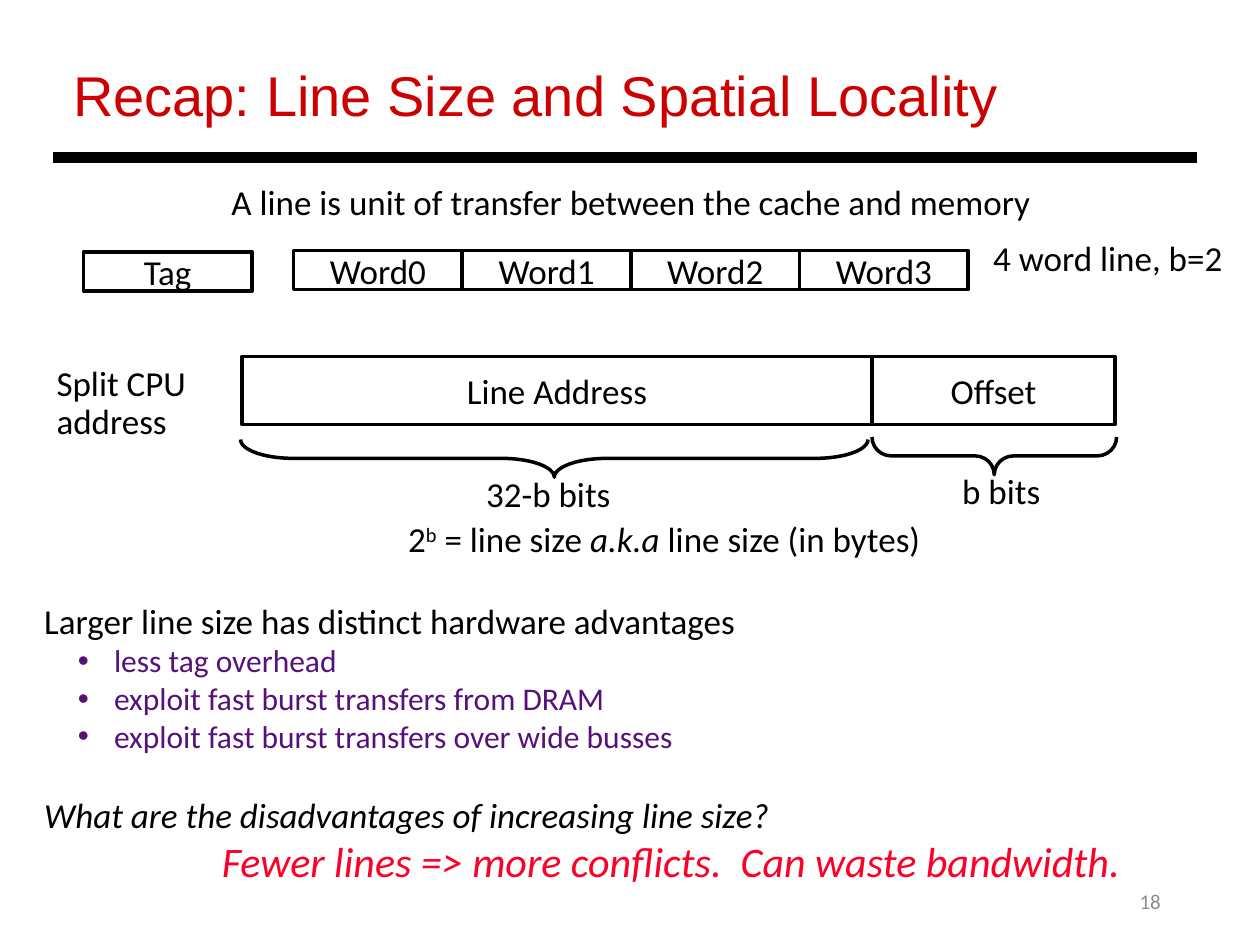
from dataclasses import dataclass

from pptx import Presentation
from pptx.dml.color import RGBColor
from pptx.enum.shapes import MSO_CONNECTOR, MSO_SHAPE
from pptx.enum.text import MSO_ANCHOR, PP_ALIGN
from pptx.oxml.ns import qn
from pptx.util import Cm, Pt
from lxml import etree

RECTANGLE, LEFT_BRACE = MSO_SHAPE.RECTANGLE, MSO_SHAPE.LEFT_BRACE
STRAIGHT = MSO_CONNECTOR.STRAIGHT
LEFT, CENTER, RIGHT = PP_ALIGN.LEFT, PP_ALIGN.CENTER, PP_ALIGN.RIGHT
TOP, MIDDLE = MSO_ANCHOR.TOP, MSO_ANCHOR.MIDDLE
TITLE_ONLY = 5


@dataclass(frozen=True)
class Theme:
    ink: RGBColor = RGBColor(0x00, 0x00, 0x00)
    paper: RGBColor = RGBColor(0xFF, 0xFF, 0xFF)
    title: RGBColor = RGBColor(0xCC, 0x00, 0x00)
    bullet: RGBColor = RGBColor(0x56, 0x12, 0x7A)
    answer: RGBColor = RGBColor(0xFC, 0x01, 0x28)
    muted: RGBColor = RGBColor(0x8C, 0x8C, 0x8C)
    title_font: str = "Arial"
    body_font: str = "Calibri"
    title_size: int = 32
    answer_size: int = 24
    body_size: int = 20
    bullet_size: int = 18
    number_size: int = 12
    outline: int = 2
    rule: int = 6


def set_attributes(target, values):
    for name, value in values.items():
        setattr(target, name, value)


class SlideBuilder:
    def __init__(self, slide, theme):
        self.slide = slide
        self.theme = theme

    def add_run(self, paragraph, text, size=None, color=None, font=None, italic=False):
        run = paragraph.add_run()
        run.text = text
        set_attributes(run.font, {
            "size": Pt(size or self.theme.body_size),
            "name": font or self.theme.body_font,
            "italic": italic,
        })
        run.font.color.rgb = color or self.theme.ink
        return run

    def title(self, text, left, top, width, height):
        title = self.slide.shapes.title
        set_attributes(title, {"left": Cm(left), "top": Cm(top),
                               "width": Cm(width), "height": Cm(height)})
        set_attributes(title.text_frame, {"vertical_anchor": TOP, "word_wrap": True})
        paragraph = title.text_frame.paragraphs[0]
        paragraph.alignment = LEFT
        self.add_run(paragraph, text, self.theme.title_size,
                     self.theme.title, self.theme.title_font)

    def text(self, text, left, top, width, height, align=CENTER, anchor=TOP,
             wrap=True, spacing=None, **run_format):
        box = self.slide.shapes.add_textbox(Cm(left), Cm(top), Cm(width), Cm(height))
        set_attributes(box.text_frame, {"word_wrap": wrap, "vertical_anchor": anchor})
        paragraph = box.text_frame.paragraphs[0]
        set_attributes(paragraph, {"alignment": align, "line_spacing": spacing})
        if text:
            self.add_run(paragraph, text, **run_format)
        return paragraph

    def panel(self, left, top, width, height, outlined=True):
        panel = self.slide.shapes.add_shape(
            RECTANGLE, Cm(left), Cm(top), Cm(width), Cm(height))
        panel.shadow.inherit = False
        panel.fill.solid()
        panel.fill.fore_color.rgb = self.theme.paper
        if outlined:
            self.outline(panel)
        else:
            panel.line.fill.background()
        return panel

    def outline(self, shape):
        shape.line.color.rgb = self.theme.ink
        shape.line.width = Pt(self.theme.outline)

    def field(self, text, left, top, width, height):
        """Draw one labelled bit field or cache word."""
        frame = self.panel(left, top, width, height).text_frame
        set_attributes(frame, {"word_wrap": False, "vertical_anchor": MIDDLE})
        frame.paragraphs[0].alignment = CENTER
        self.add_run(frame.paragraphs[0], text)

    def brace(self, left, top, span, depth, curl):
        """Draw a brace pointing down; left, top, span and depth are as seen."""
        brace = self.slide.shapes.add_shape(
            LEFT_BRACE, Cm(left + (span - depth) / 2), Cm(top - (span - depth) / 2),
            Cm(depth), Cm(span))
        brace.rotation = 270
        brace.adjustments[0] = curl
        brace.shadow.inherit = False
        brace.fill.background()
        self.outline(brace)

    def rule(self, left, right, y):
        rule = self.slide.shapes.add_connector(
            STRAIGHT, Cm(left), Cm(y), Cm(right), Cm(y))
        rule.line.color.rgb = self.theme.ink
        rule.line.width = Pt(self.theme.rule)
        etree.SubElement(rule._element.spPr, qn("a:effectLst"))

    def discussion(self, heading, points, question, left, top, width, height):
        frame = self.panel(left, top, width, height, outlined=False).text_frame
        set_attributes(frame, {"word_wrap": True, "vertical_anchor": TOP})
        self.add_run(frame.paragraphs[0], heading)
        for point in points:
            paragraph = frame.add_paragraph()
            self.add_run(paragraph, point, self.theme.bullet_size, self.theme.bullet)
            self.bullet(paragraph, margin=1.41, hang=0.73)
        closing = frame.add_paragraph()
        closing.space_before = Pt(22)
        self.add_run(closing, question, italic=True)
        for paragraph in frame.paragraphs:
            paragraph.alignment = LEFT

    def bullet(self, paragraph, margin, hang):
        properties = paragraph._p.get_or_add_pPr()
        properties.set("marL", str(Cm(margin)))
        properties.set("indent", str(-Cm(hang)))
        etree.SubElement(properties, qn("a:buFont")).set("typeface", "Arial")
        etree.SubElement(properties, qn("a:buChar")).set("char", "•")


def main():
    theme = Theme()
    deck = Presentation()
    set_attributes(deck, {"slide_width": Cm(25.4), "slide_height": Cm(19.05)})
    slide = deck.slides.add_slide(deck.slide_layouts[TITLE_ONLY])
    page = SlideBuilder(slide, theme)

    page.text("18", 17.93, 17.65, 5.72, 1.02, align=RIGHT, anchor=MIDDLE,
              size=theme.number_size, color=theme.muted)
    page.title("Recap: Line Size and Spatial Locality", 1.22, 1.09, 19.56, 1.63)
    page.rule(1.07, 24.13, 3.18)

    # Cache line
    page.text("A line is unit of transfer between the cache and memory",
              0.81, 3.51, 23.83, 1.09)
    word_left, word_width, word_height = 5.92, 3.4, 0.79
    page.field("Tag", 1.68, 5.08, word_width, word_height)
    for index in range(4):
        page.field(f"Word{index}", word_left + index * word_width, 5.05,
                   word_width, word_height)
    page.text("4 word line, b=2", 19.53, 4.65, 5.61, 1.12)

    # Address split
    page.discussion(
        "Larger line size has distinct hardware advantages",
        ("less tag overhead",
         "exploit fast burst transfers from DRAM",
         "exploit fast burst transfers over wide busses"),
        "What are the disadvantages of increasing line size?",
        0.64, 11.96, 23.67, 5)
    page.text("Split CPU address", 0.89, 7.26, 3.99, 1.8, align=LEFT, spacing=0.9)
    address_left, address_width, offset_width = 4.88, 12.7, 4.9
    offset_left = address_left + address_width
    page.field("Line Address", address_left, 7.19, address_width, 1.37)
    page.field("Offset", offset_left, 7.19, offset_width, 1.37)
    page.brace(4.85, 8.86, 12.65, 0.76, curl=1.4)
    page.brace(offset_left, 8.81, 4.93, 0.76, curl=0.51)
    page.text("32-b bits", 9.53, 9.4, 3.05, 1.12, wrap=False)
    page.text("b bits", 19.13, 9.35, 2.11, 1.12, wrap=False)

    size_formula = page.text("", 7.98, 10.41, 10.97, 1.04, align=LEFT,
                             wrap=False, spacing=0.9)
    page.add_run(size_formula, "2")
    exponent = page.add_run(size_formula, "b")
    exponent._r.get_or_add_rPr().set("baseline", "30000")
    page.add_run(size_formula, " = line size ")
    page.add_run(size_formula, "a.k.a", italic=True)
    page.add_run(size_formula, " line size (in bytes)")

    page.text("Fewer lines => more conflicts.  Can waste bandwidth.",
              3.71, 16.71, 19.63, 1.27, anchor=MIDDLE, wrap=False,
              size=theme.answer_size, color=theme.answer, italic=True)

    deck.save("out.pptx")


if __name__ == "__main__":
    main()
